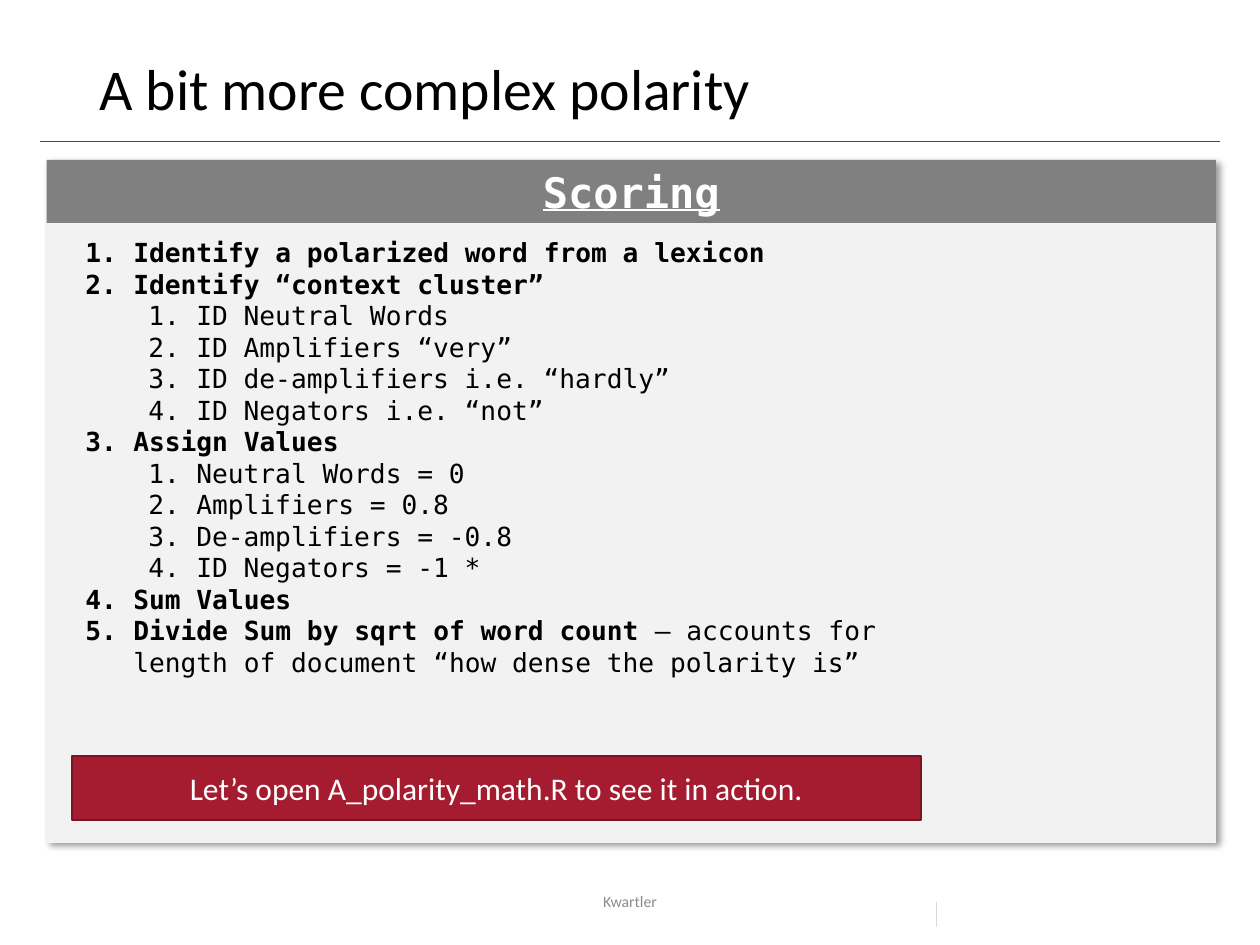
from lxml import etree
from pptx import Presentation
from pptx import util as u
from pptx.dml.color import RGBColor
from pptx.enum import shapes, text
from pptx.oxml import parse_xml
from pptx.oxml.ns import qn

PX = 9144  # 100 px to the inch
MONO, SANS = "DejaVu Sans Mono", "Calibri"
CRIMSON = "A51C30"
A_NS = 'xmlns:a="http://schemas.openxmlformats.org/drawingml/2006/main"'

prs = Presentation()
prs.slide_width, prs.slide_height = 1000 * PX, 750 * PX
s = prs.slides.add_slide(prs.slide_layouts[6])


def rgb(value):
    return RGBColor.from_string(value)


def add_text(p, words, size=15, font=MONO, color="000000", bold=False,
             underline=False, align=None):
    r = p.add_run()
    r.text = words
    r.font.size, r.font.name = u.Pt(size), font
    r.font.bold, r.font.underline = bold, underline
    r.font.color.rgb = rgb(color)
    if align is not None:
        p.alignment = align


CENTER = text.PP_ALIGN.CENTER

# Rule under the title and two short hairlines
for x1, y1, x2, y2, color in [(32, 112, 968, 112, CRIMSON),
                              (743, 716, 743, 736, "D9D9D9"),
                              (774, 510, 794, 510, "D9D9D9")]:
    sp = s.shapes.add_connector(shapes.MSO_CONNECTOR.STRAIGHT,
                                x1 * PX, y1 * PX, x2 * PX, y2 * PX)
    sp.line.color.rgb, sp.line.width = rgb(color), u.Pt(0.5)
    etree.SubElement(sp._element.spPr, qn("a:effectLst"))
    if color == CRIMSON:
        rule = sp

# Panel, heading bar and call to action
boxes = []
for x, y, w, h, fill, line in [(37, 127, 928, 542, "F2F2F2", None),
                               (37, 127, 928, 50, "808080", None),
                               (57, 600, 674, 51, CRIMSON, "7A1524")]:
    sp = s.shapes.add_shape(shapes.MSO_SHAPE.RECTANGLE,
                            x * PX, y * PX, w * PX, h * PX)
    sp.shadow.inherit = False
    sp.fill.solid()
    sp.fill.fore_color.rgb = rgb(fill)
    if line:
        sp.line.color.rgb, sp.line.width = rgb(line), u.Pt(1)
    else:
        sp.line.fill.background()
    sp.text_frame.vertical_anchor = text.MSO_ANCHOR.MIDDLE
    boxes.append(sp)
panel, bar, action = boxes

panel._element.spPr.find(qn("a:effectLst")).append(parse_xml(
    f'<a:outerShdw {A_NS} blurRad="50800" dist="38100" dir="2700000" algn="tl" '
    'rotWithShape="0"><a:srgbClr val="000000"><a:alpha val="40000"/></a:srgbClr>'
    '</a:outerShdw>'))
add_text(bar.text_frame.paragraphs[0], "Scoring", size=24, color="FFFFFF",
         bold=True, underline=True, align=CENTER)
add_text(action.text_frame.paragraphs[0],
         "Let’s open A_polarity_math.R to see it in action.",
         size=18, font=SANS, color="FFFFFF", align=CENTER)

# Text frames for title, steps and footer
frames = []
for x, y, w, h, anchor in [(69, 40, 862, 65, text.MSO_ANCHOR.MIDDLE),
                           (58, 183, 682, 364, text.MSO_ANCHOR.TOP),
                           (331, 695, 338, 40, text.MSO_ANCHOR.MIDDLE)]:
    tf = s.shapes.add_textbox(x * PX, y * PX, w * PX, h * PX).text_frame
    tf.word_wrap, tf.vertical_anchor = True, anchor
    frames.append(tf)
title, steps, footer = frames

title.paragraphs[0].line_spacing = 0.9
add_text(title.paragraphs[0], "A bit more complex polarity", size=33, font=SANS)
add_text(footer.paragraphs[0], "Kwartler", size=9, font=SANS, color="8C8C8C",
         align=CENTER)

# Numbered steps: level, words, plain ending
items = [
    (0, "Identify a polarized word from a lexicon", ""),
    (0, "Identify “context cluster”", ""),
    (1, "", "ID Neutral Words"),
    (1, "", "ID Amplifiers “very”"),
    (1, "", "ID de-amplifiers i.e. “hardly”"),
    (1, "", "ID Negators i.e. “not”"),
    (0, "Assign Values", ""),
    (1, "", "Neutral Words = 0"),
    (1, "", "Amplifiers = 0.8"),
    (1, "", "De-amplifiers = -0.8"),
    (1, "", "ID Negators = -1 *"),
    (0, "Sum Values", ""),
    (0, "Divide Sum by sqrt of word count ",
     "– accounts for length of document “how dense the polarity is”"),
]
steps.auto_size = text.MSO_AUTO_SIZE.SHAPE_TO_FIT_TEXT
for i, (level, strong, plain) in enumerate(items):
    p = steps.add_paragraph() if i else steps.paragraphs[0]
    p.level = level
    p.line_spacing = u.Pt(18)
    pPr = p._p.get_or_add_pPr()
    pPr.set("marL", str((38 + 50 * level) * PX))
    pPr.set("indent", str(-38 * PX))
    etree.SubElement(pPr, qn("a:buFont"), typeface="+mj-lt")
    etree.SubElement(pPr, qn("a:buAutoNum"), type="arabicPeriod")
    for words, bold in [(strong, True), (plain, False)]:
        if words:
            add_text(p, words, bold=bold)

prs.save("out.pptx")
